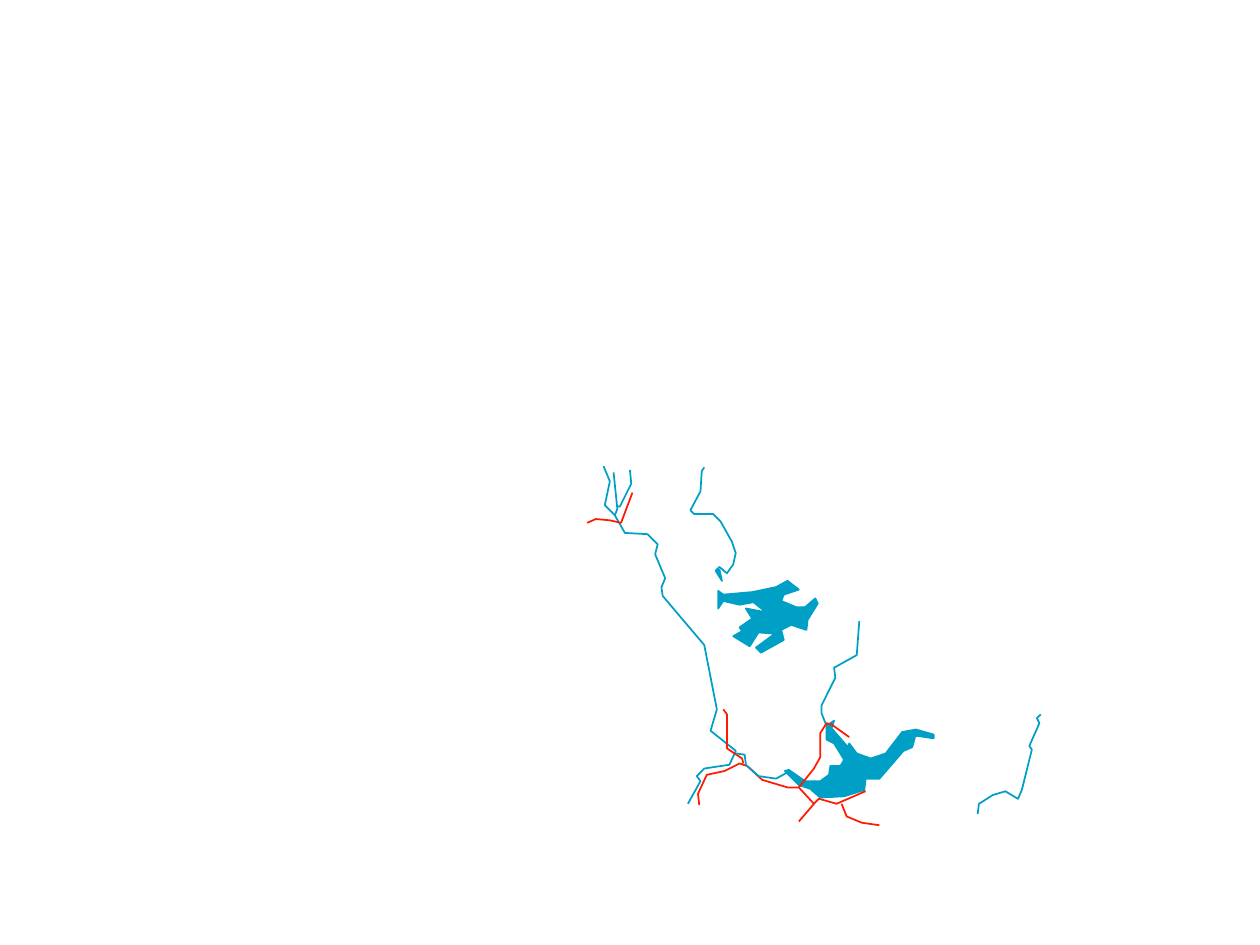
from dataclasses import dataclass

from pptx import Presentation
from pptx.dml.color import RGBColor
from pptx.util import Inches, Pt


@dataclass(frozen=True)
class Theme:
    water: RGBColor = RGBColor(0x00, 0xA0, 0xC6)
    road: RGBColor = RGBColor(0xFF, 0x1A, 0x00)
    line_width: Pt = Pt(1)


# Map points are (x, y) in hundredths of an inch.
MAP_UNIT = Inches(0.01)

RIVER_FORK = (488, 409)
INFLOW_MOUTH = (656, 576)
POND_MOUTH = (568, 453)
ROAD_JUNCTION = (634, 625)
SOUTH_JUNCTION = (646, 638)

SOUTHERN_LAKE = [
    INFLOW_MOUTH, (662, 572), (660, 578), (673, 593), (674, 590), (680, 598),
    (691, 602), (703, 598), (716, 581), (727, 579), (741, 583), (741, 586),
    (728, 584), (715, 589), (726, 586), (724, 593), (717, 596), (698, 618),
    (687, 618), (686, 627), (670, 632), (651, 633), (643, 626), (634, 623),
    (623, 612), (626, 611), (639, 620), (651, 620), (658, 615), (659, 608),
    (667, 608), (670, 603), (662, 590), (656, 587),
]
NORTHERN_LAKE = [
    (570, 469), (574, 472), (597, 470), (616, 466), (625, 461), (634, 468),
    (622, 472), (620, 477), (632, 482), (639, 482), (647, 475), (649, 479),
    (641, 492), (640, 500), (628, 496), (620, 500), (622, 508), (604, 518),
    (600, 514), (615, 503), (602, 502), (595, 513), (582, 505), (589, 501),
    (587, 498), (597, 491), (592, 483), (608, 486), (598, 478), (587, 480),
    (574, 477), (570, 483),
]
POND = [(571, 452), (573, 461), POND_MOUTH]

POND_RIVER = [
    (559, 371), (557, 374), (556, 390), (548, 405), (551, 408), (566, 408),
    (572, 414), (581, 430), (584, 439), (582, 448), (577, 455), (571, 450),
    POND_MOUTH,
]
LAKE_INFLOW = [
    INFLOW_MOUTH, (652, 566), (652, 560), (663, 538), (662, 530), (680, 520),
    (682, 493),
]
MAIN_RIVER = [
    (487, 375), (490, 404), RIVER_FORK, (496, 423), (514, 424), (522, 432),
    (520, 440), (528, 459), (525, 466), (526, 473), (559, 512), (569, 563),
    (564, 580), (584, 596), (579, 607), (559, 610), (553, 616), (556, 620),
    (546, 638),
]
EASTERN_RIVER = [
    (826, 567), (823, 570), (825, 574), (817, 592), (819, 595), (811, 627),
    (808, 634), (798, 628), (788, 631), (777, 638), (776, 646),
]
EAST_TRIBUTARY = [(500, 373), (501, 384), (492, 402), (490, 402)]
WEST_TRIBUTARY = [(479, 370), (484, 382), (480, 401), RIVER_FORK]
LAKE_OUTFLOW = [
    (584, 598), (591, 599), (592, 607), (602, 616), (616, 618), (625, 613),
]

RIVER_ROAD = [(574, 563), (577, 567), (577, 594), (589, 602), (590, 606)]
MAIN_ROAD = [
    (555, 639), (554, 630), (561, 615), (575, 612), (587, 606), (593, 608),
    (605, 619), (625, 625), ROAD_JUNCTION, SOUTH_JUNCTION, (650, 634),
    (664, 638), (687, 628),
]
SOUTHEAST_ROAD = [(668, 638), (672, 648), (684, 653), (698, 655)]
LAKESIDE_ROAD = [
    ROAD_JUNCTION, (646, 610), (651, 601), (651, 582), (656, 574), (660, 575),
    (674, 585),
]
SOUTH_ROAD = [SOUTH_JUNCTION, (634, 652)]
NORTHERN_ROAD = [
    (502, 391), (493, 415), (484, 413), (473, 412), (466, 415),
]


class MapDrawer:
    def __init__(self, slide, theme):
        self.slide = slide
        self.theme = theme

    def outline(self, points, color, closed=False):
        builder = self.slide.shapes.build_freeform(*points[0], scale=MAP_UNIT)
        builder.add_line_segments(points[1:], close=closed)
        shape = builder.convert_to_shape()
        shape.shadow.inherit = False
        shape.fill.background()
        shape.line.color.rgb = color
        shape.line.width = self.theme.line_width
        return shape

    def lake(self, points):
        shape = self.outline(points, self.theme.water, closed=True)
        shape.fill.solid()
        shape.fill.fore_color.rgb = self.theme.water

    def river(self, points):
        self.outline(points, self.theme.water)

    def road(self, points):
        self.outline(points, self.theme.road)


def main():
    presentation = Presentation()
    presentation.slide_width = Inches(10)
    presentation.slide_height = Inches(7.5)
    slide = presentation.slides.add_slide(presentation.slide_layouts[6])
    drawer = MapDrawer(slide, Theme())

    for lake in (SOUTHERN_LAKE, NORTHERN_LAKE):
        drawer.lake(lake)
    for river in (POND_RIVER, LAKE_INFLOW, MAIN_RIVER, EASTERN_RIVER,
                  EAST_TRIBUTARY, WEST_TRIBUTARY):
        drawer.river(river)
    for road in (RIVER_ROAD, MAIN_ROAD, SOUTHEAST_ROAD, LAKESIDE_ROAD,
                 SOUTH_ROAD, NORTHERN_ROAD):
        drawer.road(road)
    drawer.lake(POND)
    drawer.river(LAKE_OUTFLOW)

    presentation.save("out.pptx")


if __name__ == "__main__":
    main()
